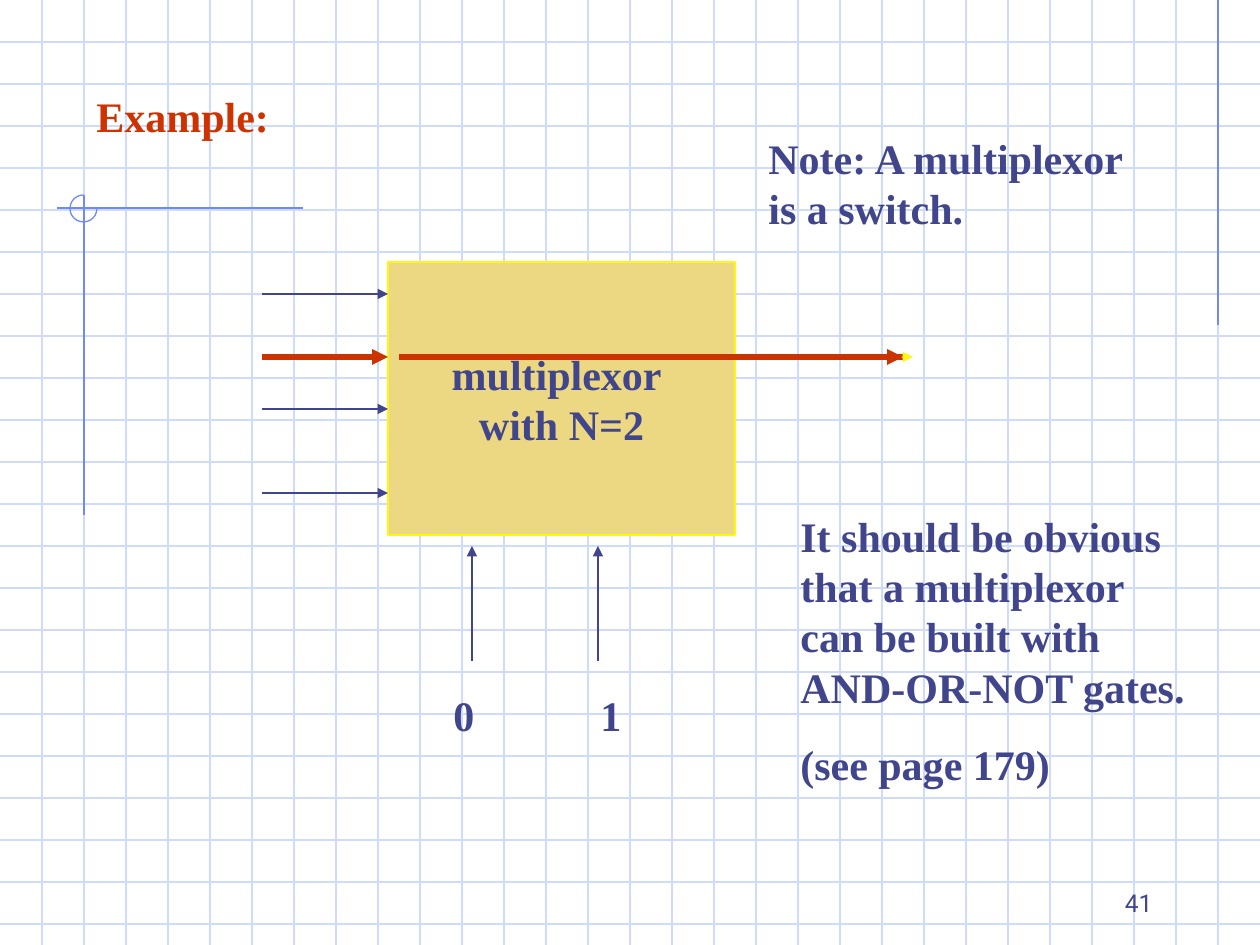
from lxml import etree
from pptx import Presentation, util as u
from pptx.dml.color import RGBColor
from pptx.enum import shapes, text
from pptx.oxml.ns import qn

PX = u.Inches(1) / 126
WIDTH, HEIGHT, GRID = 1260, 945, 42

INK = RGBColor(0x40, 0x45, 0x8C)
RED = RGBColor(0xCC, 0x33, 0x00)
YELLOW = RGBColor(0xFD, 0xF7, 0x11)
SAND = RGBColor(0xEC, 0xD8, 0x82)
PALE = RGBColor(0xCF, 0xDB, 0xFD)
BLUE = RGBColor(0x6F, 0x89, 0xF7)

# Content: lines are (x1, y1, x2, y2), boxes are (left, top, width, height)
ORNAMENT_LINES = [(1218, 0, 1218, 325), (303, 208, 57, 208), (84, 195, 84, 515)]
ORNAMENT_ARC = (70, 195, 27, 27)

MULTIPLEXOR = (388, 262, 347, 273)
MULTIPLEXOR_LABEL = ["multiplexor ", "with N=2"]
INPUTS = [(294, INK, 0.75), (357, RED, 3), (409, INK, 0.75), (493, INK, 0.75)]
INPUT_X = (262, 388)
SELECT_X = [472, 598]
SELECT_Y = (661, 546)
SELECT_BITS = "0\t1"
SELECT_TAB = 147
SIGNAL_Y = 357
SIGNAL = [
    (399, 903, RED, 3, False),
    (788, 913, YELLOW, 0.75, True),
]
SIGNAL_END = (745, 903, RED, 3, True)

NOTES = [
    ((756, 126, 399, 113), ["Note: A multiplexor is a switch."]),
    ((788, 504, 420, 291), [
        "It should be obvious that a multiplexor can be built with AND-OR-NOT gates.",
        "(see page 179)",
    ]),
]


def px(*lengths):
    return [round(length * PX) for length in lengths]


def add_line(x1, y1, x2, y2, color=INK, weight=0.75, arrow=False):
    line = slide.shapes.add_connector(
        shapes.MSO_CONNECTOR.STRAIGHT, *px(x1, y1, x2, y2))
    line.line.color.rgb = color
    line.line.width = u.Pt(weight)
    if arrow:
        etree.SubElement(line.line._get_or_add_ln(), qn("a:tailEnd"), type="triangle")
    etree.SubElement(line._element.spPr, qn("a:effectLst"))


def write(shape, paragraphs, color=INK, font="Times New Roman", size=24, bold=True,
          align=text.PP_ALIGN.LEFT, anchor=text.MSO_ANCHOR.TOP, wrap=True,
          gap=15, tab=None):
    frame = shape.text_frame
    frame.word_wrap = wrap
    frame.vertical_anchor = anchor
    for index, words in enumerate(paragraphs):
        paragraph = frame.add_paragraph() if index else frame.paragraphs[0]
        paragraph.text = words
        paragraph.alignment = align
        if index:
            paragraph.space_before = u.Pt(gap)
        if tab:
            stops = etree.SubElement(paragraph._p.get_or_add_pPr(), qn("a:tabLst"))
            etree.SubElement(stops, qn("a:tab"), pos=str(px(tab)[0]), algn="l")
        for run in paragraph.runs:
            run.font.name = font
            run.font.size = u.Pt(size)
            run.font.bold = bold
            run.font.color.rgb = color


def add_text(box, paragraphs, **style):
    write(slide.shapes.add_textbox(*px(*box)), paragraphs, **style)


prs = Presentation()
prs.slide_width, prs.slide_height = px(WIDTH, HEIGHT)
slide = prs.slides.add_slide(prs.slide_layouts[6])

# Graph paper
for y in range(GRID, HEIGHT, GRID):
    add_line(0, y, WIDTH, y, color=PALE)
for x in range(GRID, WIDTH, GRID):
    add_line(x, 0, x, HEIGHT, color=PALE)

# Corner ornament: three quarters of a circle on crossing lines
for ends in ORNAMENT_LINES:
    add_line(*ends, color=BLUE)
arc = slide.shapes.add_shape(shapes.MSO_SHAPE.ARC, *px(*ORNAMENT_ARC))
arc.adjustments[0] = 0
arc.adjustments[1] = 162  # 270 degrees, in units of 100000/60000 degree
arc.shadow.inherit = False
arc.fill.background()
arc.line.color.rgb = BLUE
arc.line.width = u.Pt(0.75)

# Heading
add_text((84, 84, 483, 63), ["Example:"], color=RED)

# Multiplexor block
block = slide.shapes.add_shape(shapes.MSO_SHAPE.RECTANGLE, *px(*MULTIPLEXOR))
block.shadow.inherit = False
block.fill.solid()
block.fill.fore_color.rgb = SAND
block.line.color.rgb = YELLOW
block.line.width = u.Pt(0.75)
write(block, MULTIPLEXOR_LABEL, align=text.PP_ALIGN.CENTER,
      anchor=text.MSO_ANCHOR.MIDDLE, wrap=False, gap=0)

# Inputs and select lines
for y, color, weight in INPUTS:
    add_line(INPUT_X[0], y, INPUT_X[1], y, color, weight, arrow=True)
for x in SELECT_X:
    add_line(x, SELECT_Y[0], x, SELECT_Y[1], arrow=True)
add_text((441, 683, 221, 63), [SELECT_BITS], tab=SELECT_TAB)

# Selected signal, notes, and the signal's arrowhead on top
for start, end, color, weight, arrow in SIGNAL:
    add_line(start, SIGNAL_Y, end, SIGNAL_Y, color, weight, arrow)
for box, paragraphs in NOTES:
    add_text(box, paragraphs)
start, end, color, weight, arrow = SIGNAL_END
add_line(start, SIGNAL_Y, end, SIGNAL_Y, color, weight, arrow)

# Slide number
add_text((903, 861, 262, 63), ["41"], font="Roboto", size=14, bold=False,
         align=text.PP_ALIGN.RIGHT, anchor=text.MSO_ANCHOR.BOTTOM)

prs.save("out.pptx")
